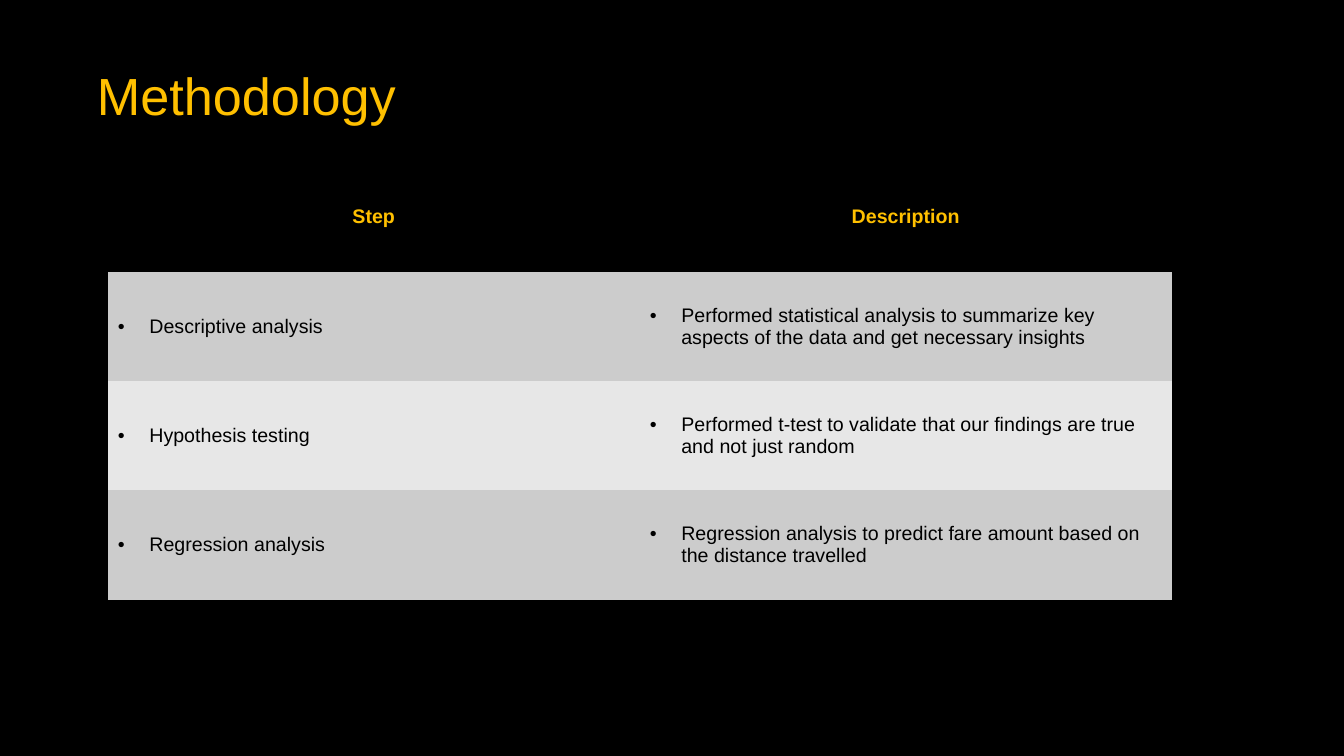
"""Build the Methodology slide: a title above a table of analysis steps."""
import lxml.etree
import pptx
import pptx.dml.color
import pptx.enum.text
import pptx.oxml.ns
import pptx.util

Pt = pptx.util.Pt
ALIGN = pptx.enum.text.PP_ALIGN
MIDDLE = pptx.enum.text.MSO_ANCHOR.MIDDLE

COLORS = {
    "background": "000000",
    "accent": "FFC000",
    "text": "000000",
    "odd_row": "CCCCCC",
    "even_row": "E7E7E7",
}
FONT = "Arial"
PLAIN_TABLE_STYLE = "{2D5ABB26-0587-4C30-8999-92F81FD0307C}"
BULLET_INDENT = 22.5
COLUMN_WIDTH = 380
ROW_HEIGHT = 78.1

HEADINGS = ("Step", "Description")
STEPS = (
    ("Descriptive analysis",
     "Performed statistical analysis to summarize key aspects of the data and get necessary insights"),
    ("Hypothesis testing",
     "Performed t-test to validate that our findings are true and not just random"),
    ("Regression analysis",
     "Regression analysis to predict fare amount based on the distance travelled"),
)


def rgb(name):
    return pptx.dml.color.RGBColor.from_string(COLORS[name])


def paint(fill, color):
    fill.solid()
    fill.fore_color.rgb = rgb(color)


def add_bullet(paragraph, color):
    properties = paragraph._p.get_or_add_pPr()
    properties.set("marL", str(Pt(BULLET_INDENT)))
    properties.set("indent", str(-Pt(BULLET_INDENT)))
    qn = pptx.oxml.ns.qn
    bullet_color = lxml.etree.SubElement(properties, qn("a:buClr"))
    lxml.etree.SubElement(bullet_color, qn("a:srgbClr"), val=COLORS[color])
    lxml.etree.SubElement(properties, qn("a:buFont"), typeface=FONT)
    lxml.etree.SubElement(properties, qn("a:buChar"), char="•")


def write_text(frame, text, size=14, color="text", bold=False, align=ALIGN.LEFT, bullet=False):
    paragraph = frame.paragraphs[0]
    paragraph.alignment = align
    if bullet:
        add_bullet(paragraph, color)
    run = paragraph.add_run()
    run.text = text
    run.font.name = FONT
    run.font.size = Pt(size)
    run.font.bold = bold
    run.font.color.rgb = rgb(color)


def place_title(slide, text):
    title = slide.shapes.title
    title.left, title.top, title.width, title.height = Pt(62), Pt(37.5), Pt(808.5), Pt(60.5)
    frame = title.text_frame
    frame.auto_size = pptx.enum.text.MSO_AUTO_SIZE.NONE
    frame.vertical_anchor = MIDDLE
    frame.margin_left = frame.margin_right = Pt(7.2)
    frame.margin_top = frame.margin_bottom = Pt(7.2)
    write_text(frame, text, size=37.3, color="accent")


def fill_row(table, row, texts, fill, **text_format):
    table.rows[row].height = Pt(ROW_HEIGHT)
    for column, text in enumerate(texts):
        cell = table.cell(row, column)
        cell.vertical_anchor = MIDDLE
        paint(cell.fill, fill)
        write_text(cell.text_frame, text, **text_format)


def add_steps_table(slide):
    row_count, column_count = len(STEPS) + 1, len(HEADINGS)
    table = slide.shapes.add_table(
        row_count, column_count, Pt(77), Pt(116),
        Pt(COLUMN_WIDTH * column_count), Pt(ROW_HEIGHT * row_count)).table
    table._tbl.tblPr.find(pptx.oxml.ns.qn("a:tableStyleId")).text = PLAIN_TABLE_STYLE
    fill_row(table, 0, HEADINGS, "background", color="accent", bold=True, align=ALIGN.CENTER)
    for row, texts in enumerate(STEPS, start=1):
        fill_row(table, row, texts, "odd_row" if row % 2 else "even_row", bullet=True)


def main():
    presentation = pptx.Presentation()
    presentation.slide_width, presentation.slide_height = Pt(960), Pt(540)
    slide = presentation.slides.add_slide(presentation.slide_layouts[5])
    paint(slide.background.fill, "background")
    place_title(slide, "Methodology")
    add_steps_table(slide)
    presentation.save("out.pptx")


if __name__ == "__main__":
    main()
